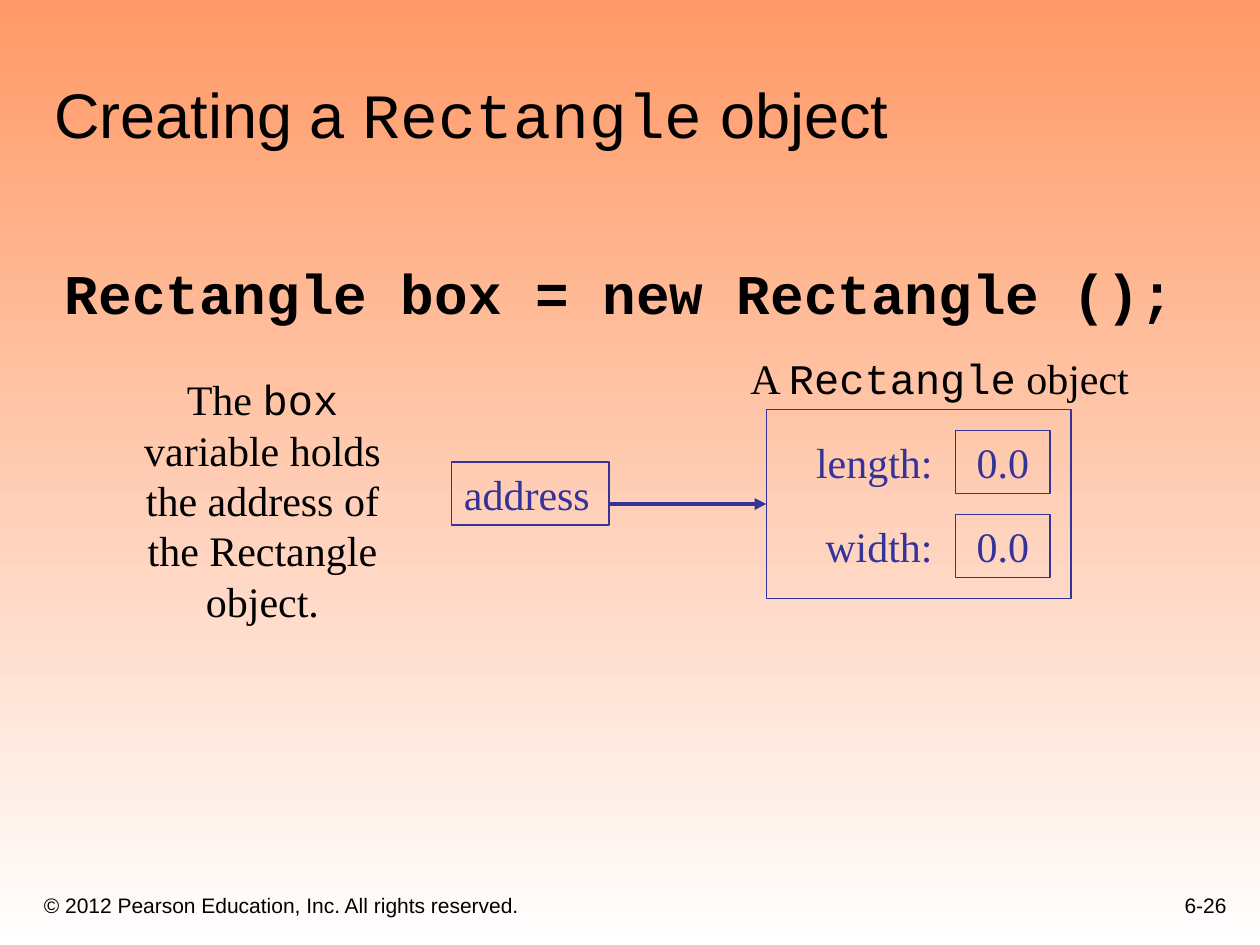
import pptx
import pptx.util
import pptx.dml.color
import pptx.enum.shapes
import pptx.enum.text
import pptx.oxml
from lxml import etree

RGBColor = pptx.dml.color.RGBColor
ALIGN = pptx.enum.text.PP_ALIGN
ANCHOR = pptx.enum.text.MSO_ANCHOR
ORANGE = RGBColor(0xFF, 0x99, 0x66)
WHITE = RGBColor(0xFF, 0xFF, 0xFF)
BLACK = RGBColor(0, 0, 0)
INDIGO = RGBColor(0x33, 0x33, 0x99)
SANS, MONO, SERIF = "Arial", "Courier New", "Times New Roman"

# Places are (left, top, width, height) in cells of a 120 x 90 grid.
COLUMNS, ROWS = 120, 90

TITLE = [("Creating a ", SANS), ("Rectangle", MONO), (" object", SANS)]
STATEMENT = [("Rectangle box = new Rectangle ();", MONO)]
EXPLANATION = [("The ", SERIF), ("box ", MONO),
               ("variable holds the address of the Rectangle object.", SERIF)]
OBJECT_CAPTION = [("A ", SERIF), ("Rectangle", MONO), (" object", SERIF)]
FIELDS = [("length:", "0.0"), ("width:", "0.0")]
COPYRIGHT = [("© 2012 Pearson Education, Inc. All rights reserved.", SANS)]
PAGE_NUMBER = [("6-26", SANS)]

OBJECT_PLACE = (73, 39, 29, 18)
ADDRESS_PLACE = (43, 44, 15, 6)
FIELD_TOP, FIELD_STEP, FIELD_HEIGHT = 41, 8, 6

presentation = pptx.Presentation()
presentation.slide_width = pptx.util.Inches(10)
presentation.slide_height = pptx.util.Inches(7.5)
slide = presentation.slides.add_slide(presentation.slide_layouts[6])


def grid_x(column):
    return round(presentation.slide_width * column / COLUMNS)


def grid_y(row):
    return round(presentation.slide_height * row / ROWS)


def grid_box(place):
    left, top, width, height = place
    return grid_x(left), grid_y(top), grid_x(width), grid_y(height)


def add_text(runs, place, size=24, color=BLACK, bold=False, align=ALIGN.LEFT,
             anchor=ANCHOR.TOP, right_inset=0.1, shape=None):
    """Write runs of (text, font) into the shape, or into a new text box."""
    shape = shape or slide.shapes.add_textbox(*grid_box(place))
    frame = shape.text_frame
    frame.word_wrap = True
    frame.vertical_anchor = anchor
    frame.margin_right = pptx.util.Inches(right_inset)
    paragraph = frame.paragraphs[0]
    paragraph.alignment = align
    for text, font in runs:
        run = paragraph.add_run()
        run.text = text
        run.font.name = font
        run.font.size = pptx.util.Pt(size)
        run.font.bold = bold
        run.font.color.rgb = color


def add_rectangle(place):
    shape = slide.shapes.add_shape(
        pptx.enum.shapes.MSO_SHAPE.RECTANGLE, *grid_box(place))
    shape.shadow.inherit = False
    shape.fill.background()
    shape.line.color.rgb = INDIGO
    shape.line.width = pptx.util.Pt(0.75)
    return shape


def add_arrow(start_column, target):
    """Draw a level arrow from a column to the middle of the target's left side."""
    middle = target.top + target.height // 2
    arrow = slide.shapes.add_connector(
        pptx.enum.shapes.MSO_CONNECTOR.STRAIGHT,
        grid_x(start_column), middle, target.left, middle)
    arrow.end_connect(target, 1)
    arrow.line.color.rgb = INDIGO
    arrow.line.width = pptx.util.Pt(2.25)
    line = arrow.line._get_or_add_ln()
    etree.SubElement(line, pptx.oxml.ns.qn("a:tailEnd"), type="triangle")
    etree.SubElement(arrow._element.spPr, pptx.oxml.ns.qn("a:effectLst"))


background = slide.background.fill
background.gradient()
background.gradient_angle = 270
for stop, color, position in zip(background.gradient_stops, (ORANGE, WHITE), (0, 1)):
    stop.color.rgb = color
    stop.position = position

add_text(COPYRIGHT, (3, 83, 73, 5), size=12, anchor=ANCHOR.BOTTOM)
add_text(PAGE_NUMBER, (93, 82, 25, 6), size=12, align=ALIGN.RIGHT,
         anchor=ANCHOR.BOTTOM)
add_text(TITLE, (4, 0, 102, 15), size=36, anchor=ANCHOR.BOTTOM)
add_text(STATEMENT, (5, 24, 109, 9), size=32, bold=True, right_inset=0)

add_text([("address", SERIF)], ADDRESS_PLACE, color=INDIGO,
         shape=add_rectangle(ADDRESS_PLACE))
for index, (name, value) in enumerate(FIELDS):
    top = FIELD_TOP + index * FIELD_STEP
    value_place = (91, top, 9, FIELD_HEIGHT)
    add_text([(value, SERIF)], value_place, color=INDIGO, align=ALIGN.CENTER,
             shape=add_rectangle(value_place))
    add_text([(name, SERIF)], (75, top, 15, FIELD_HEIGHT), color=INDIGO,
             align=ALIGN.RIGHT)

object_box = add_rectangle(OBJECT_PLACE)
add_arrow(ADDRESS_PLACE[0] + ADDRESS_PLACE[2], object_box)
add_text(EXPLANATION, (11, 35, 28, 25), align=ALIGN.CENTER)
add_text(OBJECT_CAPTION, (66, 33, 47, 6), align=ALIGN.CENTER)

presentation.save("out.pptx")
